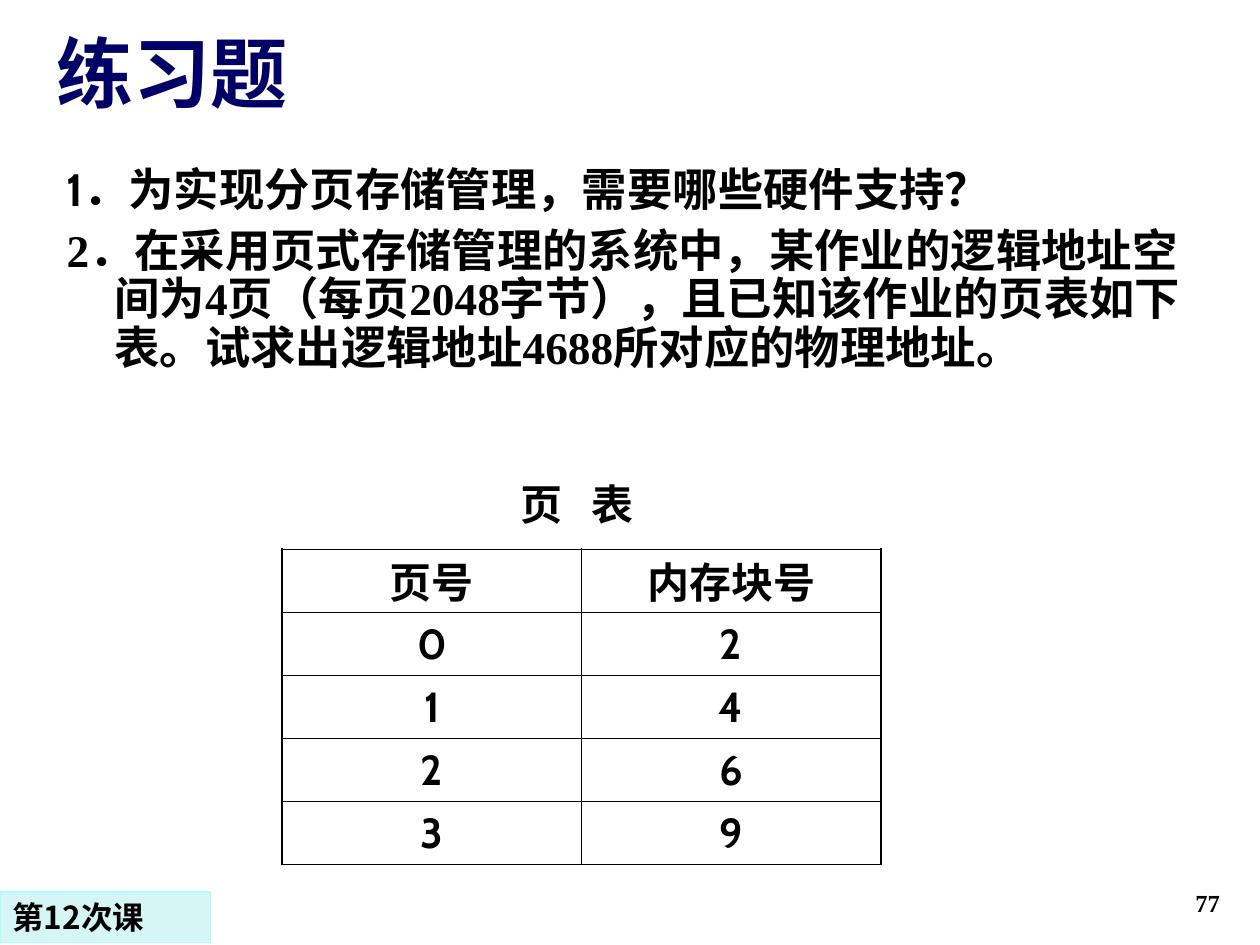
from lxml.etree import SubElement
from pptx import Presentation
from pptx.dml.color import RGBColor
from pptx.enum.shapes import MSO_SHAPE
from pptx.enum.text import MSO_ANCHOR, PP_ALIGN
from pptx.oxml.ns import qn
from pptx.util import Pt

BLACK = RGBColor(0x00, 0x00, 0x00)
NAVY = RGBColor(0x00, 0x00, 0x66)
WHITE = RGBColor(0xFF, 0xFF, 0xFF)
PALE_CYAN = RGBColor(0xD6, 0xF5, 0xF5)
CYAN = RGBColor(0xAD, 0xFF, 0xFF)
CABIN, TIMES, NOTO = "Cabin", "Times New Roman", "Noto Sans CJK SC"
THIN, THICK = 0.45, 1.08


def write(p, text, size=24, font=TIMES, color=BLACK, align=PP_ALIGN.LEFT,
          before=0, spacing=None, hanging=0):
    p.alignment = align
    p.space_before = Pt(before)
    if spacing:
        p.line_spacing = spacing
    if hanging:
        pPr = p._p.get_or_add_pPr()
        pPr.set("marL", str(Pt(hanging)))
        pPr.set("indent", str(-Pt(hanging)))
    r = p.add_run()
    r.text = text
    r.font.size = Pt(size)
    r.font.bold = True
    r.font.name = font
    r.font.color.rgb = color
    SubElement(r._r.get_or_add_rPr(), qn("a:ea")).set("typeface", NOTO)
    return r


class Deck:
    def __init__(self):
        self.prs = Presentation()
        self.prs.slide_width, self.prs.slide_height = Pt(720), Pt(540)
        self.s = self.prs.slides.add_slide(self.prs.slide_layouts[5])

    def title(self, text, x, y, w, h):
        sp = self.s.shapes.title
        sp.left, sp.top, sp.width, sp.height = Pt(x), Pt(y), Pt(w), Pt(h)
        tf = sp.text_frame
        tf.vertical_anchor = MSO_ANCHOR.BOTTOM
        write(tf.paragraphs[0], text, size=44, font=CABIN, color=NAVY)

    def text(self, x, y, w, h, anchor=MSO_ANCHOR.TOP):
        tf = self.s.shapes.add_textbox(Pt(x), Pt(y), Pt(w), Pt(h)).text_frame
        tf.word_wrap = True
        tf.vertical_anchor = anchor
        return tf

    def tag(self, text, x, y, w, h):
        sp = self.s.shapes.add_shape(MSO_SHAPE.RECTANGLE, Pt(x), Pt(y), Pt(w), Pt(h))
        sp.shadow.inherit = False
        sp.fill.solid()
        sp.fill.fore_color.rgb = PALE_CYAN
        sp.line.color.rgb = CYAN
        sp.line.width = Pt(0.75)
        sp.text_frame.vertical_anchor = MSO_ANCHOR.TOP
        write(sp.text_frame.paragraphs[0], text, size=18, font=NOTO)

    def border(self, cell, side, width):
        ln = SubElement(cell._tc.get_or_add_tcPr(), qn(f"a:{side}"), w=str(Pt(width)))
        fill = SubElement(ln, qn("a:solidFill"))
        SubElement(fill, qn("a:srgbClr"), val=str(BLACK))

    def table(self, rows, x, y, col_w, row_h):
        n_rows, n_cols = len(rows), len(rows[0])
        table = self.s.shapes.add_table(n_rows, n_cols, Pt(x), Pt(y),
                                        Pt(col_w * n_cols), Pt(row_h * n_rows)).table
        for i, row in enumerate(rows):
            table.rows[i].height = Pt(row_h)
            for j, value in enumerate(row):
                cell = table.cell(i, j)
                cell.margin_top = Pt(3.6 if i else 0)
                cell.margin_bottom = Pt(0)
                edges = {"lnL": j == 0, "lnR": j == n_cols - 1,
                         "lnT": i == 0, "lnB": i == n_rows - 1}
                for side, outer in edges.items():
                    self.border(cell, side, THICK if outer else THIN)
                cell.fill.solid()
                cell.fill.fore_color.rgb = WHITE
                write(cell.text_frame.paragraphs[0], value, font=CABIN,
                      align=PP_ALIGN.CENTER)


def main():
    deck = Deck()
    deck.title("练习题", 25.2, 16.56, 678.96, 54.72)

    tf = deck.text(30.96, 88.56, 673.92, 180.72)
    p = tf.paragraphs[0]
    write(p, "1", size=25.9, font=CABIN, align=PP_ALIGN.JUSTIFY, hanging=27.36)
    write(p, "．为实现分页存储管理，需要哪些硬件支持？", size=25.9,
          align=PP_ALIGN.JUSTIFY, hanging=27.36)
    write(tf.add_paragraph(),
          "2．在采用页式存储管理的系统中，某作业的逻辑地址空间为4页（每页2048字节），"
          "且已知该作业的页表如下表。试求出逻辑地址4688所对应的物理地址。",
          size=25.9, before=7, spacing=0.9, hanging=27.36)

    tf = deck.text(231.84, 270, 200.88, 36)
    write(tf.paragraphs[0], "页   表 ", align=PP_ALIGN.CENTER)

    deck.table([("页号", "内存块号"), ("0", "2"), ("1", "4"), ("2", "6"), ("3", "9")],
               161.28, 313.92, 171, 36)
    deck.tag("第12次课", 0, 509.76, 120.24, 28.8)

    tf = deck.text(554.4, 491.76, 149.76, 36, MSO_ANCHOR.BOTTOM)
    write(tf.paragraphs[0], "77", size=14, align=PP_ALIGN.RIGHT)

    deck.prs.save("out.pptx")


if __name__ == "__main__":
    main()
